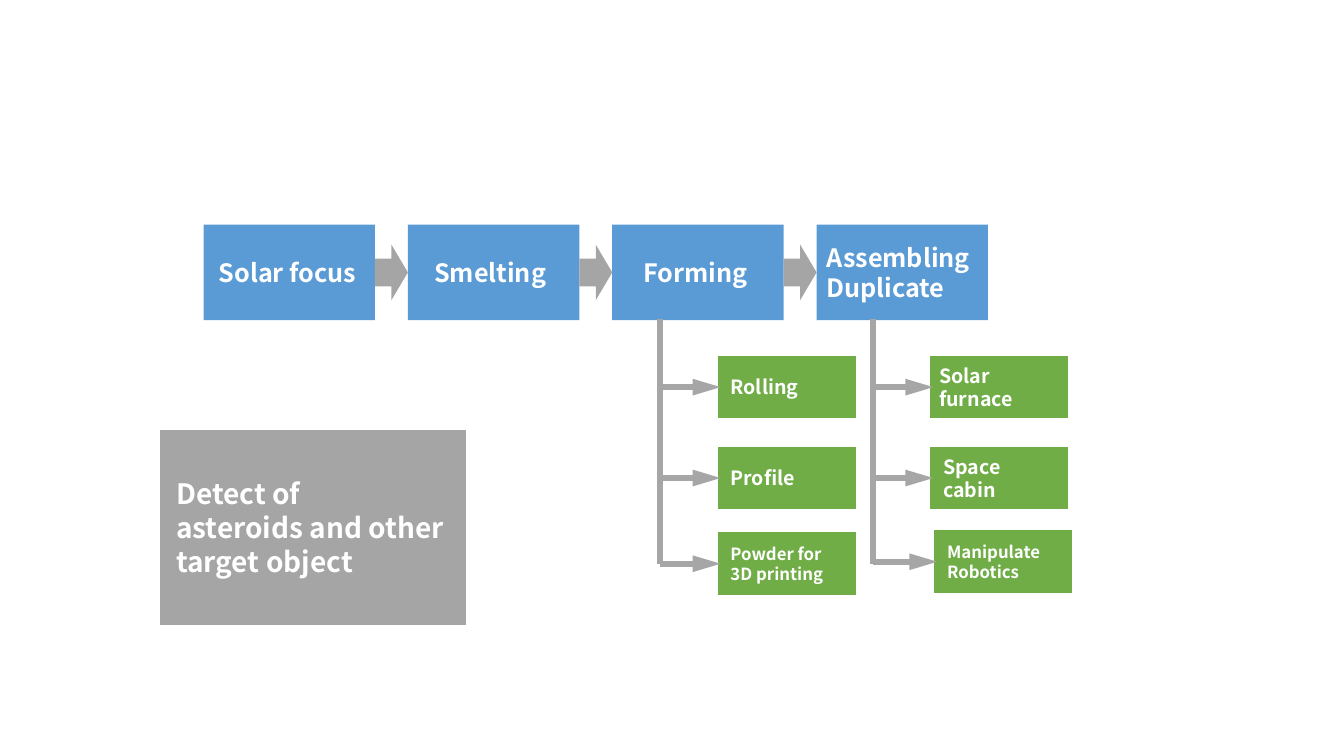
from dataclasses import dataclass

from lxml import etree
from pptx import Presentation
from pptx.dml.color import RGBColor
from pptx.enum.shapes import MSO_CONNECTOR, MSO_SHAPE
from pptx.enum.text import MSO_ANCHOR
from pptx.oxml.ns import qn
from pptx.util import Cm, Pt


@dataclass(frozen=True)
class Theme:
    """Colours, font and type sizes of the slide."""
    blue: str = "5B9BD5"
    green: str = "70AD47"
    grey: str = "A5A5A5"
    line: str = "A6A6A6"
    white: str = "FFFFFF"
    font: str = "Noto Sans CJK SC"
    target: int = 20
    stage: int = 18
    output: int = 14
    small: int = 12
    border: float = 1.5
    connector: float = 4


T = Theme()


def add_block(s, kind, box, fill, border=False):
    """Add a filled preset shape, with a white border if asked."""
    sp = s.shapes.add_shape(kind, *map(Cm, box))
    sp.shadow.inherit = False
    sp.fill.solid()
    sp.fill.fore_color.rgb = RGBColor.from_string(fill)
    if border:
        sp.line.color.rgb = RGBColor.from_string(T.white)
        sp.line.width = Pt(T.border)
    else:
        sp.line.fill.background()


def add_label(s, box, lines, size):
    """Add bold white text, one paragraph per line, centred vertically."""
    tf = s.shapes.add_textbox(*map(Cm, box)).text_frame
    tf.word_wrap = True
    tf.vertical_anchor = MSO_ANCHOR.MIDDLE
    for i, line in enumerate(lines):
        p = tf.paragraphs[0] if i == 0 else tf.add_paragraph()
        r = p.add_run()
        r.text = line
        r.font.name = T.font
        r.font.size = Pt(size)
        r.font.bold = True
        r.font.color.rgb = RGBColor.from_string(T.white)


def add_link(s, x1, y1, x2, y2, arrow=False):
    """Add a thick grey line, with an arrowhead at its end if asked."""
    cx = s.shapes.add_connector(MSO_CONNECTOR.STRAIGHT,
                                *map(Cm, (x1, y1, x2, y2)))
    cx.line.color.rgb = RGBColor.from_string(T.line)
    cx.line.width = Pt(T.connector)
    props = cx._element.spPr
    if arrow:
        etree.SubElement(props.find(qn("a:ln")), qn("a:tailEnd"),
                         type="triangle", w="med", len="lg")
    etree.SubElement(props, qn("a:effectLst"))


def add_stages(s, x, y, w, h, stages):
    """Lay out the process stages in a row with block arrows in the gaps."""
    gap, arrow_h = 0.83, 1.4
    stage_w = (w - gap * (len(stages) - 1)) / len(stages)
    for i, (lines, indent, label_w) in enumerate(stages):
        left = x + i * (stage_w + gap)
        add_block(s, MSO_SHAPE.RECTANGLE, (left, y, stage_w, h), T.blue)
        add_label(s, (left + indent, y, label_w, h), lines, T.stage)
        if i:
            add_block(s, MSO_SHAPE.RIGHT_ARROW,
                      (left - gap, y + (h - arrow_h) / 2, gap, arrow_h), T.grey)


def add_outputs(s, x, y, w, h, outputs):
    """Hang the outputs of a stage from a trunk at the left of the box."""
    output_w, output_h, tip = 3.53, 1.63, 0.1
    add_link(s, x, y, x, y + h)
    for lines, size, dx, dy, indent, label_w in outputs:
        left, top = x + w - output_w + dx, y + dy
        middle = top + output_h / 2
        add_block(s, MSO_SHAPE.RECTANGLE, (left, top, output_w, output_h),
                  T.green, border=True)
        add_label(s, (left + indent, top, label_w, output_h), lines, size)
        add_link(s, x, middle, left + tip, middle, arrow=True)


def add_target(s, x, y, w, h, lines):
    """Add the grey panel that names the target of the search."""
    pad = 0.18
    add_block(s, MSO_SHAPE.RECTANGLE, (x, y, w, h), T.grey, border=True)
    add_label(s, (x + pad, y, w - 2 * pad, h), lines, T.target)


STAGES = [  # lines, label indent, label width
    (["Solar focus"], 0.13, 4.06),
    (["Smelting"], 0.41, 3.53),
    (["Forming"], 0.53, 3.23),
    (["Assembling", "Duplicate"], 0, 4.37),
]
FORMING = [  # lines, size, shift right, drop, label indent, label width
    (["Rolling"], T.output, 0, 0.89, 0.1, 3.35),
    (["Profile"], T.output, 0, 3.18, 0.1, 3.35),
    (["Powder for 3D printing"], T.small, 0, 5.34, 0.1, 3.35),
]
ASSEMBLING = [
    (["Solar", "furnace"], T.output, 0, 0.89, 0, 4.32),
    (["Space cabin"], T.output, 0, 3.18, 0.1, 3.35),
    (["Manipulate", "Robotics"], T.small, 0.1, 5.29, 0.1, 3.35),
]

prs = Presentation()
prs.slide_width, prs.slide_height = Cm(33.87), Cm(19.05)
s = prs.slides.add_slide(prs.slide_layouts[6])
add_stages(s, 5.13, 5.66, 19.77, 2.41, STAGES)
add_outputs(s, 16.64, 8.05, 4.95, 6.17, FORMING)
add_outputs(s, 22, 8.05, 4.95, 6.17, ASSEMBLING)
add_target(s, 4.01, 10.8, 7.75, 4.98,
           ["Detect of", "asteroids and other target object"])
prs.save("out.pptx")
